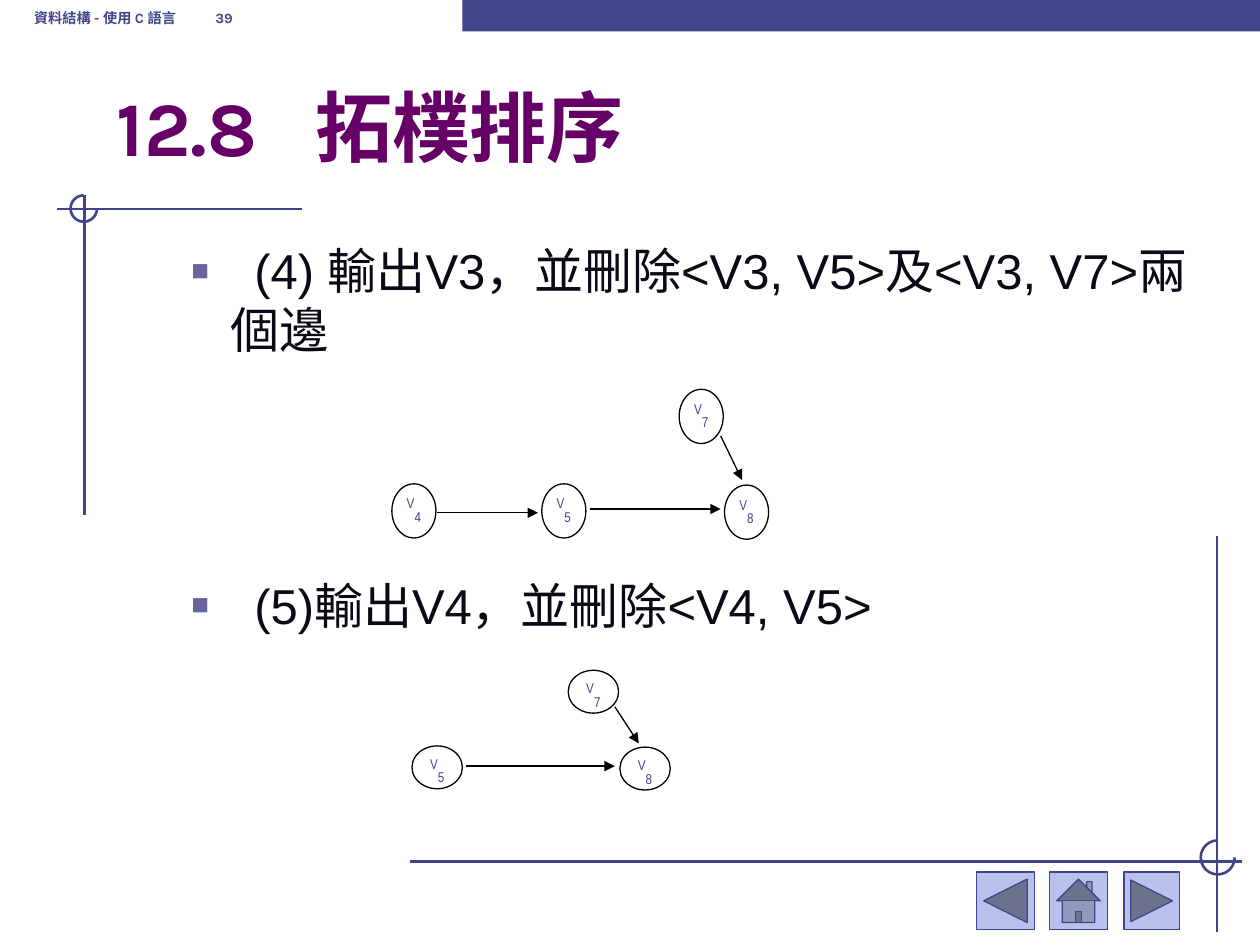
import pptx
import pptx.util
import pptx.dml.color
import pptx.enum.shapes
import pptx.enum.text
import pptx.oxml.ns
from lxml import etree

Inches, Pt = pptx.util.Inches, pptx.util.Pt
MSO_SHAPE = pptx.enum.shapes.MSO_SHAPE
ANCHOR = pptx.enum.text.MSO_ANCHOR
qn = pptx.oxml.ns.qn

THEME = {
    "accent": "40458C", "title": "660066", "body": "090A15", "bullet": "666699",
    "button": "B7C1EB", "edge": "000000",
    "heading_font": "Karla", "body_font": "Arial", "node_font": "Arial Narrow",
    "footer_size": 14, "title_size": 44, "body_size": 28, "node_size": 14,
    "rule_width": 1.5, "thin_width": 0.75,
}

# Content
HEADER = "資料結構 - 使用 C 語言\t39"
TITLE = "12.8\t拓樸排序"
STEPS = [  # wording, points of space before
    ("\t(4) 輸出V3，並刪除<V3, V5>及<V3, V7>兩個邊", 0),
    ("\t(5)輸出V4，並刪除<V4, V5>", 124),
]
GRAPHS = [
    {"node_size": (0.35, 0.43),
     "nodes": {"4": (3.11, 3.84), "5": (4.3, 3.84), "7": (5.39, 3.09), "8": (5.75, 3.85)},
     "edges": [(3.47, 4.07, 4.27, 4.07), (4.68, 4.04, 5.72, 4.04), (5.72, 3.46, 5.89, 3.81)]},
    {"node_size": (0.4, 0.34),
     "nodes": {"5": (3.27, 5.92), "7": (4.51, 5.32), "8": (4.92, 5.93)},
     "edges": [(3.7, 6.08, 4.88, 6.08), (4.88, 5.61, 5.07, 5.9)]},
]
RULES = [(2.4, 1.66, 0.45, 1.66), (0.67, 1.55, 0.67, 4.09),
         (3.25, 6.84, 9.86, 6.84), (9.66, 4.25, 9.66, 7.4)]
CORNER_ARCS = [(0.665, 1.655, 0.105), (9.665, 6.805, 0.135)]  # centre, radius
BUTTONS = [
    (MSO_SHAPE.ACTION_BUTTON_BACK_OR_PREVIOUS, 7.75, 0.46),
    (MSO_SHAPE.ACTION_BUTTON_HOME, 8.33, 0.46),
    (MSO_SHAPE.ACTION_BUTTON_FORWARD_OR_NEXT, 8.92, 0.44),
]


def color(name):
    return pptx.dml.color.RGBColor.from_string(THEME[name])


def add_shape(slide, preset, box, fill=None, line=None, width="thin_width"):
    shape = slide.shapes.add_shape(preset, *map(Inches, box))
    shape.shadow.inherit = False
    if fill:
        shape.fill.solid()
        shape.fill.fore_color.rgb = color(fill)
    else:
        shape.fill.background()
    if line:
        shape.line.color.rgb = color(line)
        shape.line.width = Pt(THEME[width])
    else:
        shape.line.fill.background()
    return shape


def add_line(slide, ends, line, width, arrow=False):
    connector = slide.shapes.add_connector(
        pptx.enum.shapes.MSO_CONNECTOR.STRAIGHT, *map(Inches, ends))
    connector.line.color.rgb = color(line)
    connector.line.width = Pt(THEME[width])
    if arrow:
        etree.SubElement(connector.line._get_or_add_ln(), qn("a:tailEnd"), type="triangle")
    etree.SubElement(connector._element.spPr, qn("a:effectLst"))


def add_text_box(slide, box, anchor):
    frame = slide.shapes.add_textbox(*map(Inches, box)).text_frame
    frame.word_wrap = True
    frame.vertical_anchor = anchor
    return frame


def add_tab(paragraph, position):
    tabs = etree.SubElement(paragraph._p.get_or_add_pPr(), qn("a:tabLst"))
    etree.SubElement(tabs, qn("a:tab"), pos=str(Inches(position)), algn="l")


def add_bullet(paragraph):
    props = paragraph._p.get_or_add_pPr()
    props.set("marL", str(Inches(0.81)))
    props.set("indent", str(Inches(-0.31)))
    tint = etree.SubElement(props, qn("a:buClr"))
    etree.SubElement(tint, qn("a:srgbClr"), val=THEME["bullet"])
    etree.SubElement(props, qn("a:buSzPct"), val="60000")
    etree.SubElement(props, qn("a:buFont"), typeface=THEME["body_font"])
    etree.SubElement(props, qn("a:buChar"), char="■")


def style_runs(paragraph, font, size, tint, bold=False):
    for run in paragraph.runs:
        run.font.name = THEME[font]
        run.font.size = Pt(THEME[size])
        run.font.color.rgb = color(tint)
        run.font.bold = bold


def set_baseline(run, percent):
    run.font._element.set("baseline", str(percent * 1000))


def add_node(slide, number, box):
    frame = add_shape(slide, MSO_SHAPE.OVAL, box, line="edge").text_frame
    frame.margin_left = frame.margin_right = frame.margin_top = frame.margin_bottom = 0
    frame.vertical_anchor = ANCHOR.TOP
    label = frame.paragraphs[0]
    label.alignment = pptx.enum.text.PP_ALIGN.CENTER
    label.line_spacing = 0.96
    for wording, baseline in (("V", 30), (number, -25)):
        run = label.add_run()
        run.text = wording
        set_baseline(run, baseline)
    style_runs(label, "node_font", "node_size", "accent")


def main():
    deck = pptx.Presentation()
    deck.slide_width, deck.slide_height = Inches(10), Inches(7.5)
    slide = deck.slides.add_slide(deck.slide_layouts[6])

    # Frame: rules, corner arcs and top band
    for ends in RULES:
        add_line(slide, ends, "accent", "rule_width")
    for x, y, radius in CORNER_ARCS:
        arc = add_shape(slide, MSO_SHAPE.ARC, (x - radius, y - radius, 2 * radius, 2 * radius),
                        line="accent", width="rule_width")
        arc.adjustments[0] = 0
        arc.adjustments[1] = 270 * 0.6  # 60000ths of a degree over 100000
    add_shape(slide, MSO_SHAPE.RECTANGLE, (3.67, 0, 6.33, 0.25), fill="accent")

    # Navigation buttons
    for preset, left, width in BUTTONS:
        add_shape(slide, preset, (left, 6.92, width, 0.46), fill="button", line="accent")

    # Header and title
    header = add_text_box(slide, (0.17, -0.17, 3.08, 0.5), ANCHOR.BOTTOM).paragraphs[0]
    header.text = HEADER
    add_tab(header, 1.44)
    style_runs(header, "heading_font", "footer_size", "accent", bold=True)
    for run in header.runs:
        set_baseline(run, 30)
    title = add_text_box(slide, (0.83, 0.58, 8.5, 0.83), ANCHOR.BOTTOM).paragraphs[0]
    title.text = TITLE
    add_tab(title, 1.58)
    style_runs(title, "heading_font", "title_size", "title", bold=True)

    # Steps
    body = add_text_box(slide, (0.92, 1.86, 8.89, 4.8), ANCHOR.TOP)
    body.text = "\n".join(wording for wording, _ in STEPS)
    for step, (_, gap) in zip(body.paragraphs, STEPS):
        add_bullet(step)
        add_tab(step, 1)
        step.space_before = Pt(gap)
        style_runs(step, "body_font", "body_size", "body")

    # Graphs
    for graph in GRAPHS:
        for number, corner in graph["nodes"].items():
            add_node(slide, number, corner + graph["node_size"])
        for ends in graph["edges"]:
            add_line(slide, ends, "edge", "thin_width", arrow=True)

    deck.save("out.pptx")


if __name__ == "__main__":
    main()
